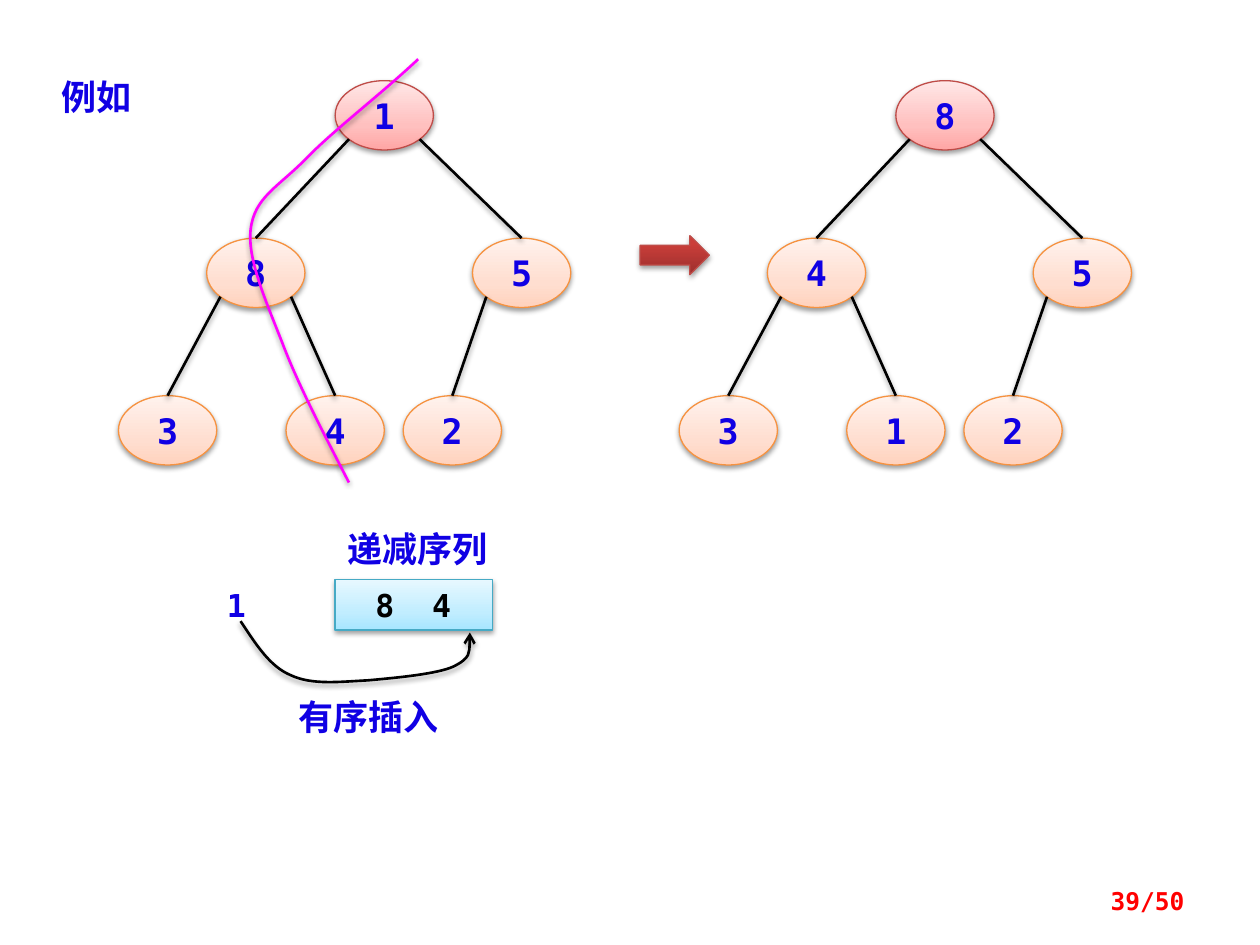
from typing import NamedTuple

from lxml import etree
from pptx import Presentation
from pptx.dml import color
from pptx.enum import shapes as kinds, text as txt
from pptx.oxml import ns
from pptx.util import Inches, Pt

MONO, HAN = "DejaVu Sans Mono", "Noto Sans CJK SC"
BLUE, BLACK, MAGENTA, RED = "1000E4", "000000", "FF00FF", "FF0000"
NODE_W, NODE_H = 0.78, 0.55
ROOT_TOP, LEVEL_STEP = 0.64, 1.25
TREE_SHIFT = 4.45
PORT_X, PORT_Y = 0.28, 0.19


class Look(NamedTuple):
    stops: dict[int, str]
    border: str


class Node(NamedTuple):
    left: float
    level: int
    parent: int | None

    @property
    def top(self) -> float:
        return ROOT_TOP + self.level * LEVEL_STEP


class Label(NamedTuple):
    words: str
    box: tuple[float, float, float, float]
    style: dict


ROOT = Look({0: "FFA6A5", 35: "FFC0BF", 100: "FFE7E7"}, "BF4C48")
CHILD = Look({0: "FFD2BD", 35: "FFDED0", 100: "FFF2ED"}, "F69240")
ARROW = Look({0: "9C2F2D", 80: "CB3E3A", 100: "CE3B37"}, "BF4C48")
SEQUENCE = Look({0: "A7E6FF", 35: "C1EDFF", 100: "E7F8FF"}, "46AAC5")

HEAP = [
    Node(2.66, 0, None),
    Node(1.64, 1, 0),
    Node(3.75, 1, 0),
    Node(0.94, 2, 1),
    Node(2.27, 2, 1),
    Node(3.20, 2, 2),
]

SIFT_PATH = [
    (3.32, 0.47), (3, 0.77), (2.64, 1.04), (2.42, 1.27), (2.2, 1.49),
    (2.02, 1.57), (1.99, 1.82), (1.96, 2.07), (2.13, 2.43), (2.26, 2.77),
    (2.39, 3.1), (2.58, 3.46), (2.77, 3.83),
]
INSERT_PATH = [
    (1.91, 4.93), (2.03, 5.11), (2.14, 5.29), (2.31, 5.36), (2.48, 5.44),
    (2.71, 5.41), (2.92, 5.4), (3.14, 5.38), (3.47, 5.35), (3.6, 5.29),
    (3.74, 5.22), (3.73, 5.12), (3.73, 5.02),
]

LABELS = [
    Label("例如", (0.39, 0.55, 1.02, 0.44), {"font": HAN}),
    Label("1", (1.64, 4.6, 0.47, 0.4), {"size": 18, "align": "CENTER"}),
    Label("递减序列", (2.66, 4.14, 1.56, 0.44), {"font": HAN}),
    Label("有序插入", (2.27, 5.47, 1.41, 0.44), {"font": HAN}),
    Label("39/50", (7.17, 6.95, 2.33, 0.4),
          {"size": 14, "ink": RED, "align": "RIGHT", "anchor": "MIDDLE"}),
]


def rgb(code: str) -> color.RGBColor:
    return color.RGBColor.from_string(code)


def add_xml(parent, tag: str, **attributes):
    return etree.SubElement(parent, ns.qn(tag), attributes)


def write(shape, words: str, *, font=MONO, size=20, ink=BLUE, align="LEFT",
          anchor="TOP", inset=0.1, tab=None) -> None:
    frame = shape.text_frame
    frame.word_wrap = True
    frame.vertical_anchor = getattr(txt.MSO_ANCHOR, anchor)
    frame.margin_left = Inches(inset)
    paragraph = frame.paragraphs[0]
    paragraph.alignment = getattr(txt.PP_ALIGN, align)
    if tab is not None:
        stops = add_xml(paragraph._p.get_or_add_pPr(), "a:tabLst")
        add_xml(stops, "a:tab", pos=str(Inches(tab)), algn="l")
    run = paragraph.add_run()
    run.text = words
    run.font.name, run.font.size, run.font.bold = font, Pt(size), True
    run.font.color.rgb = rgb(ink)
    add_xml(run._r.get_or_add_rPr(), "a:ea", typeface=font)


def cast_shadow(shape) -> None:
    effects = add_xml(shape._element.spPr, "a:effectLst")
    outer = add_xml(effects, "a:outerShdw", blurRad=str(Pt(3.1)),
                    dist=str(Pt(1.6)), dir="5400000", rotWithShape="0")
    tint = add_xml(outer, "a:srgbClr", val=BLACK)
    add_xml(tint, "a:alpha", val="38000")


def draw_line(shape, ink: str, width: float) -> None:
    shape.line.color.rgb = rgb(ink)
    shape.line.width = Pt(width)
    cast_shadow(shape)


def add_solid(slide, kind, box, look: Look):
    shape = slide.shapes.add_shape(kind, *map(Inches, box))
    shape.fill.gradient()
    shape.fill.gradient_angle = 90
    ramp = shape._element.spPr.find(".//" + ns.qn("a:gsLst"))
    for stop in list(ramp):
        ramp.remove(stop)
    for position, code in look.stops.items():
        stop = add_xml(ramp, "a:gs", pos=str(position * 1000))
        add_xml(stop, "a:srgbClr", val=code)
    draw_line(shape, look.border, 0.75)
    return shape


def add_curve(slide, points, ink: str, arrow: bool = False) -> None:
    start, *rest = [(Inches(x), Inches(y)) for x, y in points]
    builder = slide.shapes.build_freeform(*start)
    builder.add_line_segments(rest, close=False)
    curve = builder.convert_to_shape()
    outline = curve._element.spPr.find(".//" + ns.qn("a:path"))
    segments = outline.findall(ns.qn("a:lnTo"))
    for first in range(0, len(segments), 3):
        bezier = add_xml(outline, "a:cubicBezTo")
        for segment in segments[first:first + 3]:
            bezier.append(segment[0])
            outline.remove(segment)
    curve.fill.background()
    draw_line(curve, ink, 1.5)
    if arrow:
        add_xml(curve._element.spPr.find(ns.qn("a:ln")), "a:tailEnd", type="arrow")


def add_heap(slide, keys: str, shift: float) -> None:
    for key, node in zip(keys, HEAP):
        look = ROOT if node.parent is None else CHILD
        box = (node.left + shift, node.top, NODE_W, NODE_H)
        oval = add_solid(slide, kinds.MSO_SHAPE.OVAL, box, look)
        write(oval, key, align="CENTER", anchor="MIDDLE")
    for node in HEAP[1:]:
        parent = HEAP[node.parent]
        side = PORT_X if node.left > parent.left else -PORT_X
        ends = (parent.left + shift + NODE_W / 2 + side,
                parent.top + NODE_H / 2 + PORT_Y,
                node.left + shift + NODE_W / 2, node.top)
        edge = slide.shapes.add_connector(
            kinds.MSO_CONNECTOR.STRAIGHT, *map(Inches, ends))
        draw_line(edge, BLACK, 1.5)


def main() -> None:
    deck = Presentation()
    deck.slide_width, deck.slide_height = Inches(10), Inches(7.5)
    slide = deck.slides.add_slide(deck.slide_layouts[6])

    add_heap(slide, "185342", 0)
    add_curve(slide, SIFT_PATH, MAGENTA)
    add_heap(slide, "845312", TREE_SHIFT)
    add_solid(slide, kinds.MSO_SHAPE.RIGHT_ARROW, (5.08, 1.87, 0.55, 0.31), ARROW)

    sequence = add_solid(slide, kinds.MSO_SHAPE.RECTANGLE,
                         (2.66, 4.6, 1.25, 0.4), SEQUENCE)
    write(sequence, "8\t4", size=18, ink=BLACK, anchor="MIDDLE",
          inset=0.32, tab=0.45)
    add_curve(slide, INSERT_PATH, BLACK, arrow=True)

    for label in LABELS:
        box = slide.shapes.add_textbox(*map(Inches, label.box))
        write(box, label.words, **label.style)
    deck.save("out.pptx")


if __name__ == "__main__":
    main()
